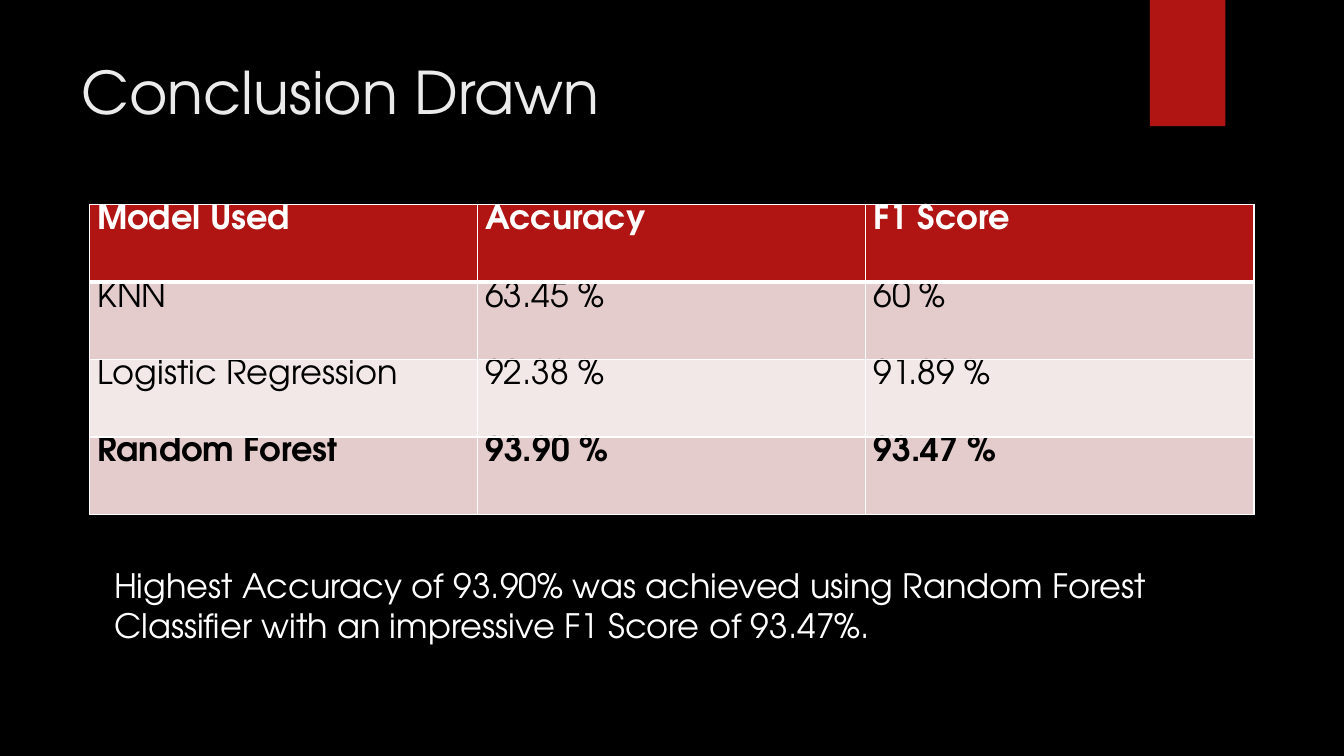
from lxml import etree
from pptx import Presentation
from pptx.dml.color import RGBColor
from pptx.enum.shapes import MSO_SHAPE
from pptx.enum.text import MSO_ANCHOR, MSO_AUTO_SIZE, PP_ALIGN
from pptx.oxml.ns import qn
from pptx.util import Cm, Pt

RECTANGLE = MSO_SHAPE.RECTANGLE
TOP = MSO_ANCHOR.TOP
NO_AUTOFIT = MSO_AUTO_SIZE.NONE
LEFT = PP_ALIGN.LEFT

FONT = "TeX Gyre Adventor"
COLORS = {
    "background": "000000",
    "accent": "B01513",
    "title": "EBEBEB",
    "light": "FFFFFF",
    "dark": "000000",
    "odd_row": "E4CCCC",
    "even_row": "F2E8E7",
}
RESULTS = [
    ("Model Used", "Accuracy", "F1 Score"),
    ("KNN", "63.45 %", "60 %"),
    ("Logistic Regression", "92.38 %", "91.89 %"),
    ("Random Forest", "93.90 %", "93.47 %"),
]
BEST_ROW = len(RESULTS) - 1
FINDING = (
    "Highest Accuracy of 93.90% was achieved using Random Forest "
    "Classifier with an impressive F1 Score of 93.47%."
)


def rgb(name):
    return RGBColor.from_string(COLORS[name])


def format_paragraph(paragraph, size, color, bold=False):
    paragraph.alignment = LEFT
    paragraph.space_before = Pt(0)
    font = paragraph.font
    font.name = FONT
    font.size = Pt(size)
    font.bold = bold
    font.color.rgb = rgb(color)


def fill_placeholder(placeholder, box, text, size, color):
    placeholder.left, placeholder.top, placeholder.width, placeholder.height = box
    frame = placeholder.text_frame
    frame.text = text
    frame.word_wrap = True
    frame.auto_size = NO_AUTOFIT
    frame.vertical_anchor = TOP
    paragraph = frame.paragraphs[0]
    format_paragraph(paragraph, size, color)
    return paragraph


def add_title(slide, box):
    fill_placeholder(slide.shapes.title, box, "Conclusion Drawn", 42, "title")


def add_finding(slide, box):
    paragraph = fill_placeholder(slide.placeholders[1], box, FINDING, 24, "light")
    properties = paragraph._p.get_or_add_pPr()
    properties.set("marL", "0")
    properties.set("indent", "0")
    bullet = etree.Element(qn("a:buNone"))
    properties.insert_element_before(bullet, "a:tabLst", "a:defRPr", "a:extLst")


def add_ribbon(slide, box):
    ribbon = slide.shapes.add_shape(RECTANGLE, *box)
    ribbon.shadow.inherit = False
    ribbon.fill.solid()
    ribbon.fill.fore_color.rgb = rgb("accent")
    ribbon.line.fill.background()


def set_borders(cell, widths):
    """Draw light borders, with widths in points keyed by side (L, R, T, B)."""
    properties = cell._tc.get_or_add_tcPr()
    for side, width in widths.items():
        line = etree.SubElement(properties, qn(f"a:ln{side}"), w=str(Pt(width)))
        fill = etree.SubElement(line, qn("a:solidFill"))
        etree.SubElement(fill, qn("a:srgbClr"), val=COLORS["light"])


def format_cell(cell, row):
    is_header = row == 0
    set_borders(cell, {
        "L": 1,
        "R": 1,
        "T": 3 if row == 1 else 1,
        "B": 3 if is_header else 1,
    })
    cell.fill.solid()
    row_fill = "odd_row" if row % 2 else "even_row"
    cell.fill.fore_color.rgb = rgb("accent" if is_header else row_fill)
    cell.margin_left = cell.margin_right = Cm(0.19)
    cell.margin_top = cell.margin_bottom = 0
    cell.vertical_anchor = TOP
    format_paragraph(
        cell.text_frame.paragraphs[0],
        24,
        "light" if is_header else "dark",
        bold=row in (0, BEST_ROW),
    )


def add_results_table(slide, box):
    shape = slide.shapes.add_table(len(RESULTS), len(RESULTS[0]), *box)
    for row, values in enumerate(RESULTS):
        for column, value in enumerate(values):
            cell = shape.table.cell(row, column)
            cell.text = value
            format_cell(cell, row)


def build_conclusion_slide(presentation):
    slide = presentation.slides.add_slide(presentation.slide_layouts[1])
    slide.background.fill.solid()
    slide.background.fill.fore_color.rgb = rgb("background")
    add_ribbon(slide, (Cm(28.98), 0, Cm(1.9), Cm(3.18)))
    add_title(slide, (Cm(1.8), Cm(1.27), Cm(26.14), Cm(3.89)))
    add_finding(slide, (Cm(2.62), Cm(14.1), Cm(29.5), Cm(3)))
    add_results_table(slide, (Cm(2.26), Cm(5.16), Cm(29.34), Cm(7.8)))


def main():
    presentation = Presentation()
    presentation.slide_width = Cm(33.87)
    presentation.slide_height = Cm(19.05)
    build_conclusion_slide(presentation)
    presentation.save("out.pptx")


if __name__ == "__main__":
    main()
